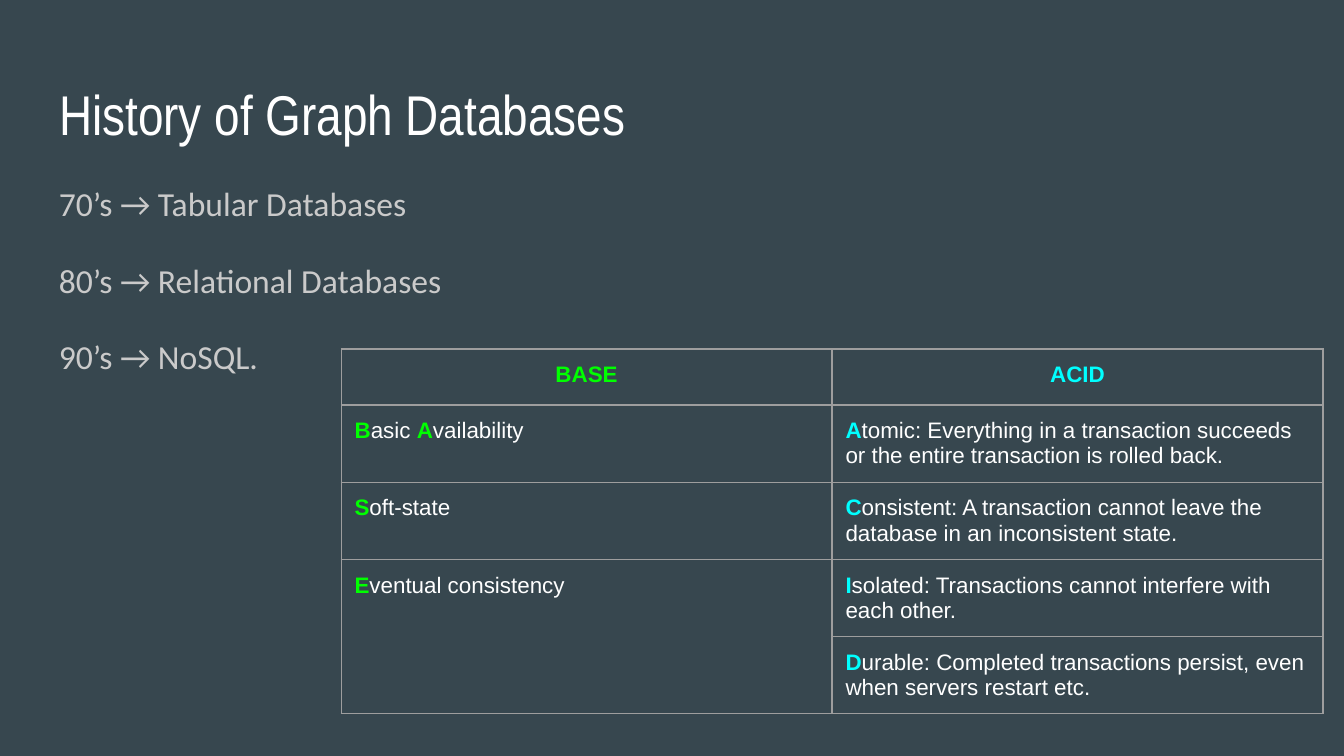
from dataclasses import dataclass

import pptx
import pptx.dml.color
import pptx.enum.text
import pptx.util
from lxml import etree
from pptx.oxml.ns import qn

Pt = pptx.util.Pt
PP_ALIGN = pptx.enum.text.PP_ALIGN
WHITE, GREEN, CYAN = "FFFFFF", "00FF00", "00FFFF"
INSET = 7.2


@dataclass
class Entry:
    text: str
    initials: str


@dataclass
class Column:
    heading: str
    color: str
    entries: list[Entry]


ERAS = ["70’s → Tabular Databases", "80’s → Relational Databases", "90’s → NoSQL."]
COLUMNS = [
    Column("BASE", GREEN, [
        Entry("Basic Availability", "BA"),
        Entry("Soft-state", "S"),
        Entry("Eventual consistency", "E"),
    ]),
    Column("ACID", CYAN, [
        Entry("Atomic: Everything in a transaction succeeds or the entire transaction is rolled back.", "A"),
        Entry("Consistent: A transaction cannot leave the database in an inconsistent state.", "C"),
        Entry("Isolated: Transactions cannot interfere with each other.", "I"),
        Entry("Durable: Completed transactions persist, even when servers restart etc.", "D"),
    ]),
]


def rgb(color: str) -> pptx.dml.color.RGBColor:
    return pptx.dml.color.RGBColor.from_string(color)


def style_run(r, font: str, size: float, color: str, bold: bool = False) -> None:
    r.font.name = font
    r.font.size = Pt(size)
    r.font.bold = bold
    r.font.color.rgb = rgb(color)


def set_frame(tf) -> None:
    tf.word_wrap = True
    tf.auto_size = pptx.enum.text.MSO_AUTO_SIZE.NONE
    tf.vertical_anchor = pptx.enum.text.MSO_ANCHOR.TOP
    tf.margin_left = tf.margin_right = tf.margin_top = tf.margin_bottom = Pt(INSET)


def add_title(s, text: str) -> None:
    sp = s.shapes.title
    sp.left, sp.top, sp.width, sp.height = Pt(24.5), Pt(35.3), Pt(671), Pt(45.1)
    tf = sp.text_frame
    tf.text = text
    set_frame(tf)
    p = tf.paragraphs[0]
    p.alignment = PP_ALIGN.LEFT
    style_run(p.runs[0], "Arial Narrow", 30, WHITE)


def add_eras(s, eras: list[str]) -> None:
    tf = s.shapes.add_textbox(Pt(24.5), Pt(87.8), Pt(671), Pt(114.5)).text_frame
    set_frame(tf)
    tf.text = "\n".join(eras)
    for i, p in enumerate(tf.paragraphs):
        p.line_spacing = 1.15
        p.space_before = Pt(16 if i else 0)
        style_run(p.runs[0], "Calibri", 18, "CACACA")


def format_cell(cell) -> None:
    cell.margin_left = cell.margin_right = cell.margin_top = cell.margin_bottom = Pt(INSET)
    tcPr = cell._tc.get_or_add_tcPr()
    for side in ("a:lnL", "a:lnR", "a:lnT", "a:lnB"):
        ln = etree.SubElement(tcPr, qn(side), w=str(Pt(0.75)))
        fill = etree.SubElement(ln, qn("a:solidFill"))
        etree.SubElement(fill, qn("a:srgbClr"), val="9E9E9E")
    cell.fill.background()


def fill_heading(cell, column: Column) -> None:
    cell.text_frame.text = column.heading
    p = cell.text_frame.paragraphs[0]
    p.alignment = PP_ALIGN.CENTER
    style_run(p.runs[0], "Arial", 12, column.color, True)


def fill_entry(cell, entry: Entry, color: str) -> None:
    p = cell.text_frame.paragraphs[0]
    rest = entry.text
    for i, initial in enumerate(entry.initials):
        rest = rest[1:]
        following = entry.initials[i + 1:i + 2]
        end = rest.index(following) if following else len(rest)
        for text, tint, bold in ((initial, color, True), (rest[:end], WHITE, False)):
            r = p.add_run()
            r.text = text
            style_run(r, "Arial", 12, tint, bold)
        rest = rest[end:]


def add_comparison(s, columns: list[Column]) -> None:
    heights = [30] + [41.25] * max(len(c.entries) for c in columns)
    width = 263
    table = s.shapes.add_table(len(heights), len(columns), Pt(182.75), Pt(187),
                               Pt(width * len(columns)), Pt(sum(heights))).table
    table.first_row = table.horz_banding = False
    for row, height in zip(table.rows, heights):
        row.height = Pt(height)
    for cell in table.iter_cells():
        format_cell(cell)
    for j, column in enumerate(columns):
        table.columns[j].width = Pt(width)
        fill_heading(table.cell(0, j), column)
        for i, entry in enumerate(column.entries, 1):
            fill_entry(table.cell(i, j), entry, column.color)
        last = len(column.entries)
        if last < len(heights) - 1:
            table.cell(last, j).merge(table.cell(len(heights) - 1, j))


def main() -> None:
    prs = pptx.Presentation()
    prs.slide_width, prs.slide_height = Pt(720), Pt(405)
    s = prs.slides.add_slide(prs.slide_layouts[5])
    s.background.fill.solid()
    s.background.fill.fore_color.rgb = rgb("37474F")
    add_title(s, "History of Graph Databases")
    add_eras(s, ERAS)
    add_comparison(s, COLUMNS)
    prs.save("out.pptx")


if __name__ == "__main__":
    main()
